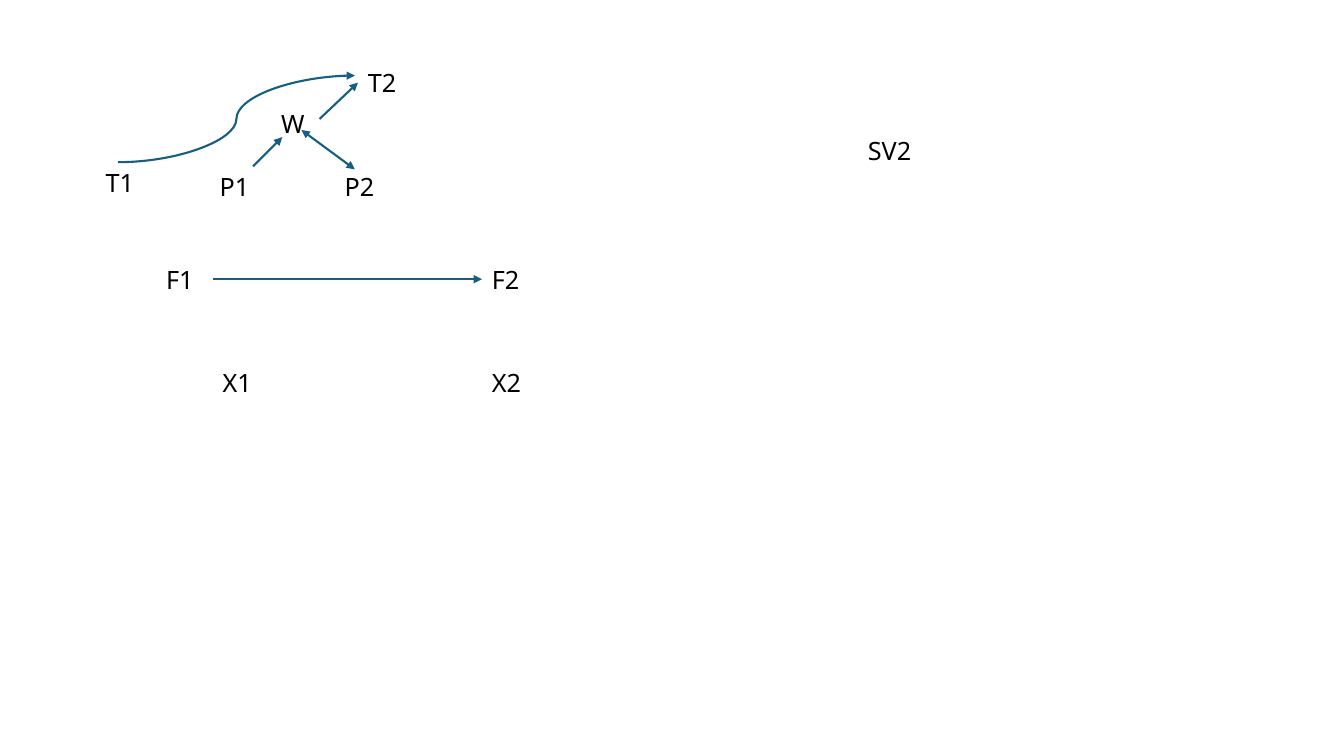
from dataclasses import dataclass

from lxml import etree
from pptx import Presentation
from pptx.dml.color import RGBColor
from pptx.enum.shapes import MSO_CONNECTOR
from pptx.enum.text import MSO_AUTO_SIZE
from pptx.oxml.ns import qn
from pptx.util import Inches, Pt

STRAIGHT, CURVE = MSO_CONNECTOR.STRAIGHT, MSO_CONNECTOR.CURVE
FIT_SHAPE = MSO_AUTO_SIZE.SHAPE_TO_FIT_TEXT
TOP, LEFT = 0, 1


@dataclass(frozen=True)
class Theme:
    font: str = "Noto Sans"
    size: Pt = Pt(18)
    text: RGBColor = RGBColor(0, 0, 0)
    arrow: RGBColor = RGBColor(0x15, 0x60, 0x82)
    arrow_width: Pt = Pt(1.5)


theme = Theme()
prs = Presentation()
prs.slide_width, prs.slide_height = Inches(13.33), Inches(7.5)
s = prs.slides.add_slide(prs.slide_layouts[6])

# Labels: text, left, top, width
labels = {}
for text, left, top, width in [
    ("T1", 0.95, 1.61, 0.86),
    ("F1", 1.55, 2.57, 0.86),
    ("P1", 2.08, 1.65, 0.86),
    ("W", 2.69, 1.03, 0.86),
    ("P2", 3.32, 1.65, 0.86),
    ("T2", 3.55, 0.62, 0.59),
    ("F2", 4.78, 2.57, 0.86),
    ("X1", 2.11, 3.59, 0.86),
    ("X2", 4.78, 3.59, 0.86),
    ("SV2", 8.51, 1.29, 3.35),
]:
    sp = s.shapes.add_textbox(Inches(left), Inches(top), Inches(width), Inches(0.4))
    tf = sp.text_frame
    tf.word_wrap = True
    tf.auto_size = FIT_SHAPE
    p = tf.paragraphs[0]
    p.text = text
    p.font.name, p.font.size = theme.font, theme.size
    p.font.color.rgb = theme.text
    labels[text] = sp


def add_arrow(kind, x1, y1, x2, y2, ends=("tailEnd",)):
    cxn = s.shapes.add_connector(kind, Inches(x1), Inches(y1), Inches(x2), Inches(y2))
    cxn.line.color.rgb = theme.arrow
    cxn.line.width = theme.arrow_width
    ln = cxn.line._get_or_add_ln()
    for end in ends:
        etree.SubElement(ln, qn(f"a:{end}"), type="triangle")
    etree.SubElement(cxn._element.spPr, qn("a:effectLst"))
    return cxn


add_arrow(STRAIGHT, 2.11, 2.77, 4.78, 2.77).end_connect(labels["F2"], LEFT)
add_arrow(STRAIGHT, 3.17, 1.18, 3.55, 0.82).end_connect(labels["T2"], LEFT)
add_arrow(CURVE, 1.17, 1.61, 3.52, 0.75)
add_arrow(STRAIGHT, 2.51, 1.65, 2.8, 1.36).begin_connect(labels["P1"], TOP)
add_arrow(STRAIGHT, 2.99, 1.29, 3.52, 1.68, ("headEnd", "tailEnd"))

prs.save("out.pptx")
